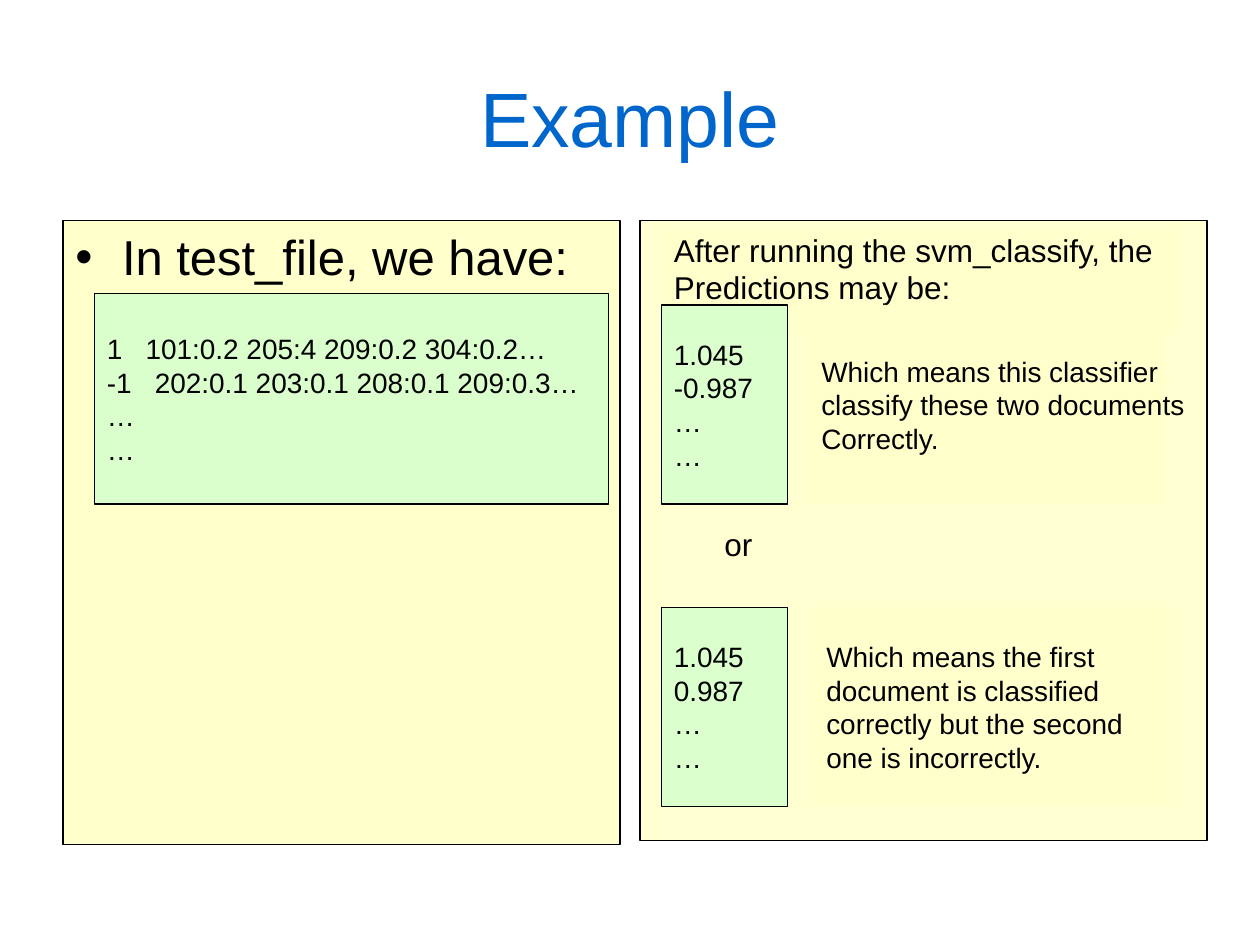
import pptx
import pptx.util
import pptx.dml.color
import pptx.enum.shapes
import pptx.enum.text
from lxml import etree

Inches, Pt = pptx.util.Inches, pptx.util.Pt
Align, Anchor = pptx.enum.text.PP_ALIGN, pptx.enum.text.MSO_ANCHOR
RECT = pptx.enum.shapes.MSO_SHAPE.RECTANGLE

CREAM, MINT, BLACK, BLUE = "FFFFCC", "CCFFCC", "000000", "0066CC"
LEFT, RIGHT, NOTE, WIDE, TALL = 5.25, 6.42, 2.83, 1, 1.58
UP, DOWN = 2.42, 4.82

TITLE = ["Example"]
HAVE = ["In test_file, we have:"]
DATA = ["1   101:0.2 205:4 209:0.2 304:0.2…",
        "-1   202:0.1 203:0.1 208:0.1 209:0.3…", "…", "…"]
HEAD = ["After running the svm_classify, the", "Predictions may be:"]
GOOD = ["Which means this classifier", "classify these two documents", "Correctly."]
BAD = ["Which means the first", "document is classified",
       "correctly but the second", "one is incorrectly."]

PANEL = {"fill": CREAM, "edge": True}
CODE = {"fill": MINT, "alpha": 70, "edge": True}
PLAIN = {"fill": CREAM, "alpha": 90}
TOP = {"vertical_anchor": Anchor.TOP}

BOXES = [
    ((5.08, 1.75, 4.5, 4.92), [], {**PANEL, "alpha": 90}),
    ((RIGHT + 0.04, DOWN, NOTE, TALL), BAD, PLAIN),
    ((0.5, 0.3, 9, 1.25), TITLE,
     {"size": 44, "color": BLUE, "para": {"alignment": Align.CENTER}}),
    ((0.5, 1.75, 4.42, 4.95), HAVE,
     {**PANEL, "size": 28, "bullet": True, "frame": {**TOP, "word_wrap": True},
      "para": {"space_before": Pt(7)}}),
    ((0.75, 2.33, 4.08, 1.67), DATA, CODE),
    ((LEFT, 1.83, 4.08, 0.83), HEAD,
     {**PLAIN, "size": 18, "frame": {**TOP, "margin_top": 0}}),
    ((LEFT, UP, WIDE, TALL), ["1.045", "-0.987", "…", "…"], CODE),
    ((RIGHT, UP, NOTE, TALL), GOOD, PLAIN),
    ((LEFT, DOWN, WIDE, TALL), ["1.045", "0.987", "…", "…"], CODE),
    ((5.65, 4.12, 0.42, 0.4), ["or"], {"size": 18, "frame": TOP}),
]


def tint(code):
    return pptx.dml.color.RGBColor.from_string(code)


def put(item, values):
    for name, value in values.items():
        setattr(item, name, value)


def sub(node, tag, **values):
    return etree.SubElement(node, pptx.oxml.ns.qn(tag), **values)


def paint(shape, look):
    shape.shadow.inherit = False
    shape.fill.solid()
    shape.fill.fore_color.rgb = tint(look["fill"])
    if "alpha" in look:
        node = shape.fill._xPr.find(".//" + pptx.oxml.ns.qn("a:srgbClr"))
        sub(node, "a:alpha", val=str(look["alpha"] * 1000))
    if look.get("edge"):
        shape.line.color.rgb = tint(BLACK)
        shape.line.width = Pt(0.75)
    else:
        shape.line.fill.background()


def write(frame, lines, look):
    put(frame, {"word_wrap": False, "vertical_anchor": Anchor.MIDDLE,
                **look.get("frame", {})})
    for at, line in enumerate(lines):
        para = frame.add_paragraph() if at else frame.paragraphs[0]
        put(para, {"alignment": Align.LEFT, **look.get("para", {})})
        run = para.add_run()
        run.text = line
        put(run.font, {"name": "Arial", "size": Pt(look.get("size", 16))})
        run.font.color.rgb = tint(look.get("color", BLACK))
        if look.get("bullet"):
            props = para._p.get_or_add_pPr()
            props.set("marL", str(Inches(0.37)))
            props.set("indent", str(Inches(-0.37)))
            sub(props, "a:buFont", typeface="Arial")
            sub(props, "a:buChar", char="•")


def main():
    deck = pptx.Presentation()
    put(deck, {"slide_width": Inches(10), "slide_height": Inches(7.5)})
    shapes = deck.slides.add_slide(deck.slide_layouts[6]).shapes
    for place, lines, look in BOXES:
        area = [Inches(n) for n in place]
        if "fill" in look:
            shape = shapes.add_shape(RECT, *area)
            paint(shape, look)
        else:
            shape = shapes.add_textbox(*area)
        if lines:
            write(shape.text_frame, lines, look)
    deck.save("out.pptx")


if __name__ == "__main__":
    main()
